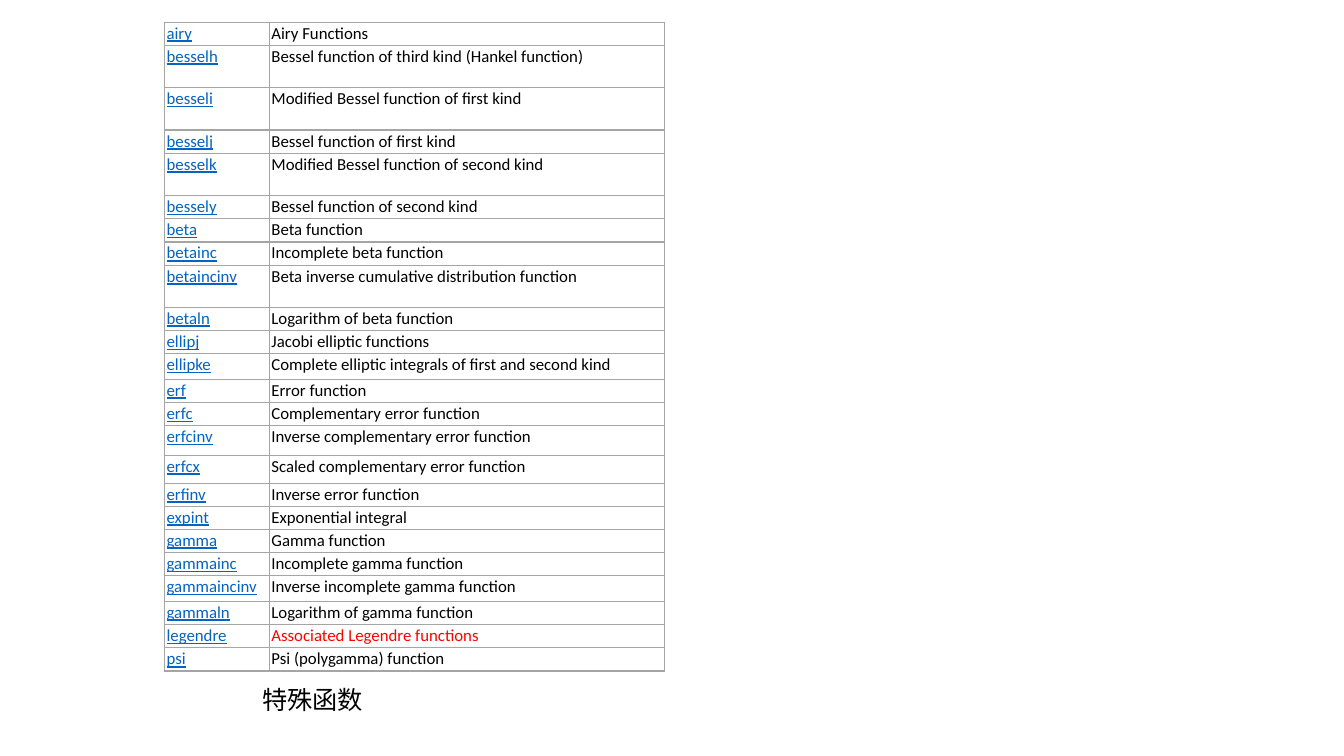
from dataclasses import dataclass

from lxml.etree import SubElement
from pptx import Presentation
from pptx.dml.color import RGBColor
from pptx.enum.text import MSO_ANCHOR, MSO_AUTO_SIZE, PP_ALIGN
from pptx.oxml.ns import qn
from pptx.slide import Slide
from pptx.table import _Cell
from pptx.text.text import _Paragraph
from pptx.util import Emu, Inches, Pt

SLIDE_WIDTH, SLIDE_HEIGHT = Inches(13.33), Inches(7.5)
FONT = "Calibri"
BLACK, RED, LINK_BLUE, BORDER_GRAY = "000000", "FF0000", "0563C1", "A5A5A5"

# Row heights and column widths, in percent of the slide
SINGLE, DOUBLE = 3.07, 5.6
COLUMN_SHARES = (7.8, 29.4)


@dataclass(frozen=True)
class SpecialFunction:
    name: str
    meaning: str
    height: float = SINGLE
    color: str = BLACK


FUNCTIONS = [
    SpecialFunction("airy", "Airy Functions"),
    SpecialFunction("besselh", "Bessel function of third kind (Hankel function)", DOUBLE),
    SpecialFunction("besseli", "Modified Bessel function of first kind", DOUBLE),
    SpecialFunction("besselj", "Bessel function of first kind"),
    SpecialFunction("besselk", "Modified Bessel function of second kind", DOUBLE),
    SpecialFunction("bessely", "Bessel function of second kind"),
    SpecialFunction("beta", "Beta function"),
    SpecialFunction("betainc", "Incomplete beta function"),
    SpecialFunction("betaincinv", "Beta inverse cumulative distribution function", DOUBLE),
    SpecialFunction("betaln", "Logarithm of beta function"),
    SpecialFunction("ellipj", "Jacobi elliptic functions"),
    SpecialFunction("ellipke", "Complete elliptic integrals of first and second kind", 3.4),
    SpecialFunction("erf", "Error function"),
    SpecialFunction("erfc", "Complementary error function"),
    SpecialFunction("erfcinv", "Inverse complementary error function", 3.9),
    SpecialFunction("erfcx", "Scaled complementary error function", 3.7),
    SpecialFunction("erfinv", "Inverse error function"),
    SpecialFunction("expint", "Exponential integral"),
    SpecialFunction("gamma", "Gamma function"),
    SpecialFunction("gammainc", "Incomplete gamma function"),
    SpecialFunction("gammaincinv", "Inverse incomplete gamma function", 3.4),
    SpecialFunction("gammaln", "Logarithm of gamma function"),
    SpecialFunction("legendre", "Associated Legendre functions", color=RED),
    SpecialFunction("psi", "Psi (polygamma) function"),
]


def across(percent: float) -> Emu:
    return Emu(round(SLIDE_WIDTH * percent / 100))


def down(percent: float) -> Emu:
    return Emu(round(SLIDE_HEIGHT * percent / 100))


def rgb(color: str) -> RGBColor:
    return RGBColor.from_string(color)


def format_runs(paragraph: _Paragraph, size: float, color: str, underline: bool = False) -> None:
    for run in paragraph.runs:
        run.font.name = FONT
        run.font.size = Pt(size)
        run.font.color.rgb = rgb(color)
        run.font.underline = underline


def add_borders(cell: _Cell) -> None:
    properties = cell._tc.get_or_add_tcPr()
    for position, side in enumerate(("a:lnL", "a:lnR", "a:lnT", "a:lnB")):
        line = properties.makeelement(qn(side), {"w": str(Pt(1))})
        fill = SubElement(line, qn("a:solidFill"))
        SubElement(fill, qn("a:srgbClr"), val=BORDER_GRAY)
        properties.insert(position, line)


def fill_cell(cell: _Cell, text: str, color: str, underline: bool) -> None:
    cell.text_frame.text = text
    format_runs(cell.text_frame.paragraphs[0], 12, color, underline)
    cell.margin_left = cell.margin_right = Inches(0.02)
    cell.margin_top = cell.margin_bottom = Inches(0.01)
    cell.vertical_anchor = MSO_ANCHOR.TOP
    cell.fill.background()
    add_borders(cell)


def add_function_table(slide: Slide, functions: list[SpecialFunction]) -> None:
    frame = slide.shapes.add_table(
        len(functions), len(COLUMN_SHARES),
        across(12.25), down(2.95),
        across(sum(COLUMN_SHARES)), down(sum(f.height for f in functions)),
    )
    table = frame.table
    table.first_row = table.horz_banding = False
    for column, share in zip(table.columns, COLUMN_SHARES):
        column.width = across(share)
    for row, function in zip(table.rows, functions):
        row.height = down(function.height)
        name, meaning = row.cells
        fill_cell(name, function.name, LINK_BLUE, underline=True)
        fill_cell(meaning, function.meaning, function.color, underline=False)


def place_title(slide: Slide, text: str) -> None:
    title = slide.shapes.title
    title.left, title.top = across(18.75), down(89.87)
    title.width, title.height = across(9.08), down(5.33)
    frame = title.text_frame
    frame.text = text
    frame.word_wrap = False
    frame.auto_size = MSO_AUTO_SIZE.NONE
    frame.vertical_anchor = MSO_ANCHOR.TOP
    frame.paragraphs[0].alignment = PP_ALIGN.LEFT
    format_runs(frame.paragraphs[0], 18, BLACK)


def main() -> None:
    presentation = Presentation()
    presentation.slide_width, presentation.slide_height = SLIDE_WIDTH, SLIDE_HEIGHT
    title_only = presentation.slide_layouts[5]
    slide = presentation.slides.add_slide(title_only)

    # Function list, with its title below
    add_function_table(slide, FUNCTIONS)
    place_title(slide, "特殊函数")

    presentation.save("out.pptx")


if __name__ == "__main__":
    main()
